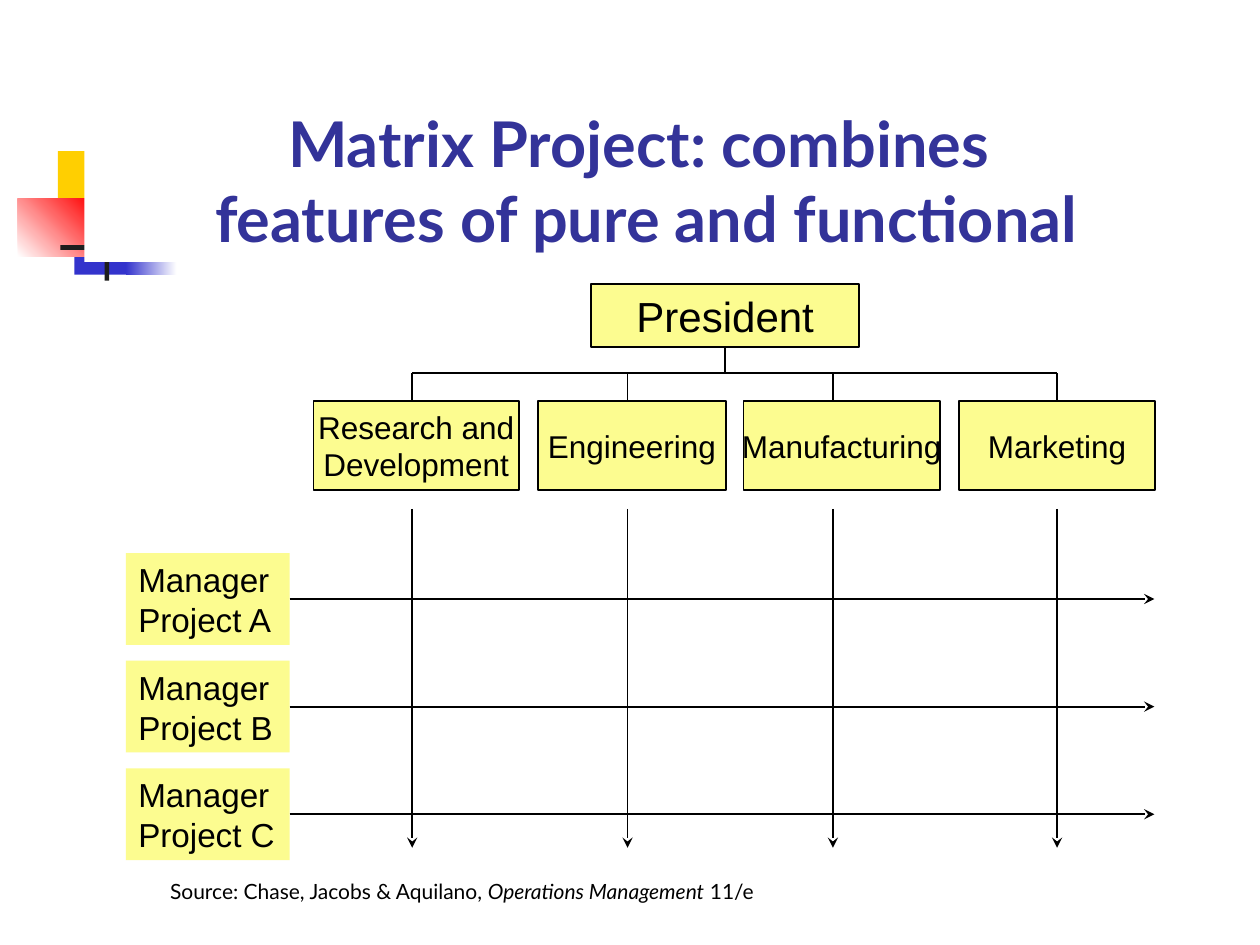
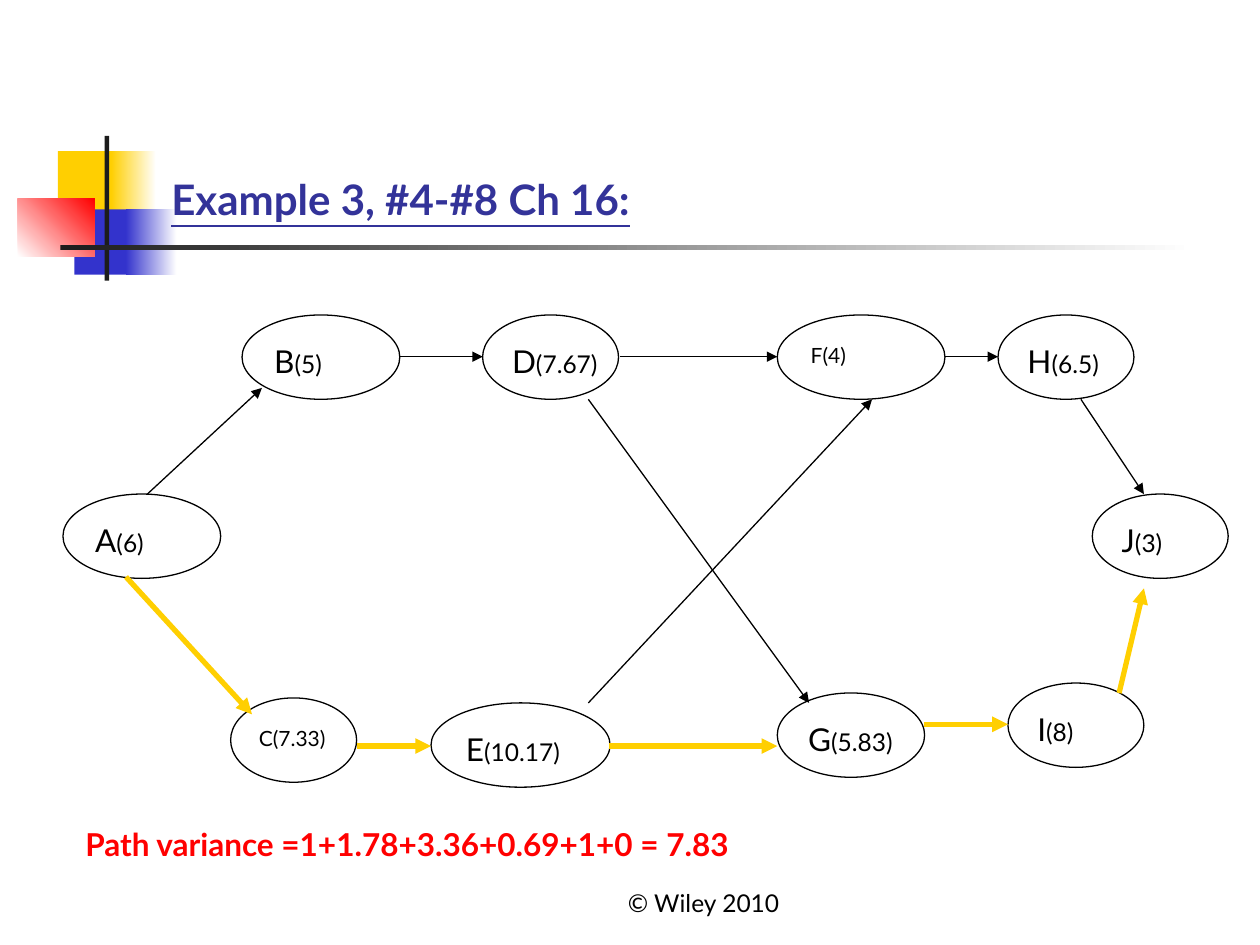
from lxml import etree
from pptx import Presentation
from pptx.dml.color import RGBColor
from pptx.enum import shapes, text
from pptx.oxml.ns import qn
from pptx.util import Cm, Pt

# Colours and fonts
BLACK = RGBColor(0, 0, 0)
WHITE = RGBColor(255, 255, 255)
INK = RGBColor(0x1C, 0x1C, 0x1C)
GOLD = RGBColor(0xFF, 0xCF, 0x01)
BLUE = RGBColor(0x33, 0x33, 0xCC)
NAVY = RGBColor(0x33, 0x33, 0x99)
RED = RGBColor(255, 0, 0)
PALE = RGBColor(0xFC, 0xFC, 0x90)
LATO, ARIAL = "Lato", "Arial"

RECT = shapes.MSO_SHAPE.RECTANGLE
OVAL = shapes.MSO_SHAPE.OVAL
LEFT, MID = text.PP_ALIGN.LEFT, text.PP_ALIGN.CENTER
TOP, CENTRE, BASE = (text.MSO_ANCHOR.TOP, text.MSO_ANCHOR.MIDDLE,
                     text.MSO_ANCHOR.BOTTOM)
FIT = text.MSO_AUTO_SIZE.SHAPE_TO_FIT_TEXT
FIXED = text.MSO_AUTO_SIZE.NONE

# Shared bands, in cm: place, fill colours, angle
BANDS = [
    ((1.17, 3.05, 1.22, 1.32), (GOLD,), 0),
    ((2.24, 3.05, 0.91, 1.32), (GOLD, WHITE), 0),
    ((1.5, 4.22, 1.17, 1.32), (BLUE,), 0),
    ((2.54, 4.22, 1.02, 1.32), (BLUE, WHITE), 0),
    ((0.36, 4.01, 1.55, 1.17), (WHITE, RED), 45),
    ((2.11, 2.74, 0.09, 2.92), (INK,), 0),
    ((1.22, 4.94, 22.86, 0.1), (INK, WHITE), 0),
]

# Slide 1: matrix chart
MATRIX = ["Matrix Project: combines ", "features of pure and functional"]
CHIEF = "President"
UNITS = [  # lines, left, width, axis of the drop and arrow
    (["Research and", "Development"], 6.32, 4.14, 8.31),
    (["Engineering"], 10.85, 3.78, 12.65),
    (["Manufacturing"], 14.99, 3.96, 16.79),
    (["Marketing"], 19.33, 3.96, 21.31),
]
PROJECTS = ["Project A", "Project B", "Project C"]
SOURCE = [("Source: Chase, Jacobs & Aquilano, ", 12, ""),
          ("Operations Management", 12, "i"), (" 11/e", 12, "")]

# Slide 2: network
EXAMPLE = ["Example 3, #4-#8 Ch 16:"]
NODES = [  # letter, time, left, top, width, sizes of letter and time
    ("A", "(6)", 1.27, 9.96, 3.18, 18, 14),
    ("B", "(5)", 4.88, 6.35, 3.18, 18, 14),
    ("D", "(7.67)", 9.73, 6.35, 2.74, 18, 14),
    ("F", "(4)", 15.67, 6.35, 3.38, 12, 12),
    ("C", "(7.33)", 4.65, 14.07, 2.54, 12, 12),
    ("E", "(10.17)", 8.69, 14.17, 3.61, 18, 14),
    ("G", "(5.83)", 15.67, 13.97, 2.97, 18, 14),
    ("H", "(6.5)", 20.12, 6.35, 2.74, 18, 14),
    ("I", "(8)", 20.32, 13.77, 2.74, 18, 14),
    ("J", "(3)", 22.02, 9.96, 2.74, 18, 14),
]
LINKS = [
    (2.97, 9.96, 5.28, 7.82), (8.05, 7.19, 9.73, 7.19),
    (12.5, 7.19, 15.67, 7.19), (19.05, 7.19, 20.12, 7.19),
    (11.86, 8.05, 16.31, 14.17), (11.86, 14.17, 17.58, 8.05),
    (21.79, 8.05, 23.06, 9.96),
]
CRITICAL = [
    (2.54, 11.63, 5.08, 14.4), (7.19, 15.04, 8.69, 15.04),
    (12.27, 15.04, 15.67, 15.04), (18.62, 14.6, 20.32, 14.6),
    (22.56, 13.97, 23.06, 11.86),
]
VARIANCE = "Path variance =1+1.78+3.36+0.69+1+0 = 7.83"
RIGHTS = "© Wiley 2010"


def cms(place):
    return [Cm(v) for v in place]


def add_run(para, words, size, style="", font=LATO, color=BLACK):
    run = para.add_run()
    run.text = words
    face = run.font
    face.name, face.size, face.color.rgb = font, Pt(size), color
    face.bold, face.italic, face.underline = (k in style for k in "biu")


def write(shape, paras, font=LATO, color=BLACK, align=LEFT, anchor=TOP,
          wrap=True, auto=FIT):
    """Fill a shape with paragraphs, each a list of (words, size, style)."""
    frame = shape.text_frame
    frame.word_wrap, frame.auto_size = wrap, auto
    frame.vertical_anchor = anchor
    for i, runs in enumerate(paras):
        para = frame.add_paragraph() if i else frame.paragraphs[0]
        para.alignment = align
        for words, size, style in runs:
            add_run(para, words, size, style, font, color)


def add_text(slide, place, paras, **look):
    write(slide.shapes.add_textbox(*cms(place)), paras, **look)


def add_form(slide, kind, place, fill=None, line=None):
    form = slide.shapes.add_shape(kind, *cms(place))
    form.shadow.inherit = False
    if fill is None:
        form.fill.background()
    else:
        form.fill.solid()
        form.fill.fore_color.rgb = fill
    if line is None:
        form.line.fill.background()
    else:
        form.line.color.rgb, form.line.width = BLACK, Pt(line)
    return form


def add_line(slide, ends, head=None, color=BLACK, width=1):
    line = slide.shapes.add_connector(shapes.MSO_CONNECTOR.STRAIGHT,
                                      *cms(ends))
    line.line.color.rgb, line.line.width = color, Pt(width)
    if head:
        etree.SubElement(line.line._get_or_add_ln(), qn("a:tailEnd"),
                         type=head)
    etree.SubElement(line._element.spPr, qn("a:effectLst"))
    return line


def add_title(slide, place, lines, size, style, align):
    title = slide.shapes.title
    title.left, title.top, title.width, title.height = cms(place)
    write(title, [[]], align=align, anchor=BASE, auto=FIXED)
    para = title.text_frame.paragraphs[0]
    for i, words in enumerate(lines):
        if i:
            para.add_line_break()
        add_run(para, words, size, style, color=NAVY)
    return title


def add_bands(slide, layout):
    """Draw the bands and hand them to the layout all slides use."""
    for i, (place, hues, angle) in enumerate(BANDS):
        band = add_form(slide, RECT, place, hues[0])
        if len(hues) > 1:
            band.fill.gradient()
            band.fill.gradient_angle = angle
            for stop, hue in zip(band.fill.gradient_stops, hues):
                stop.color.rgb = hue
        layout.shapes._spTree.insert(2 + i, band._element)


def draw_matrix(slide):
    title = add_title(slide, (1.7, 2.54, 22.66, 2.74), MATRIX, 36, "b", MID)
    title.fill.solid()
    title.fill.fore_color.rgb = WHITE
    label = dict(font=ARIAL, align=MID, anchor=CENTRE, wrap=False, auto=FIXED)

    # President and the bus below
    bus, top = 7.52, 8.08
    chief = add_form(slide, RECT, (11.92, 5.72, 5.4, 1.27), PALE, 1)
    write(chief, [[(CHIEF, 24, "")]], **label)
    stem = add_line(slide, (14.62, 6.99, 14.62, bus))
    stem.begin_connect(chief, 2)
    add_line(slide, (UNITS[0][3], bus, UNITS[-1][3], bus))

    # Departments, with a drop above and an arrow below
    for lines, left, width, axis in UNITS:
        unit = add_form(slide, RECT, (left, top, width, 1.8), PALE, 1)
        write(unit, [[(words, 18, "")] for words in lines], **label)
        drop = add_line(slide, (axis, bus, axis, top))
        if abs(left + width / 2 - axis) < 0.02:
            drop.end_connect(unit, 0)
        add_line(slide, (axis, 10.26, axis, 17.09), "stealth")

    # Project managers, wide enough for the longest label
    left, width, high = 2.54, 3.3, 1.85
    for i, name in enumerate(PROJECTS):
        y = 11.15 + 2.17 * i
        lead = add_form(slide, RECT, (left, y, width, high), PALE)
        write(lead, [[("Manager", 19, "")], [(name, 19, "")]],
              font=ARIAL, wrap=False, auto=FIXED)
        mid = y + high / 2
        arrow = add_line(slide, (left + width, mid, 23.27, mid), "stealth")
        arrow.begin_connect(lead, 3)

    add_text(slide, (3.18, 17.58, 19.69, 0.76), [SOURCE])


def draw_network(slide):
    add_title(slide, (3.2, 0.58, 21.64, 4.06), EXAMPLE, 24, "bu", LEFT)

    # Nodes, each label set in by an eighth of the width
    high = 1.7
    for name, time, x, y, width, big, small in NODES:
        add_form(slide, OVAL, (x, y, width, high), line=0.75)
        add_text(slide, (x + width / 8, y + high / 4, width * 7 / 8, 1.02),
                 [[(name, big, ""), (time, small, "")]])

    # Links and critical path
    for ends in LINKS:
        add_line(slide, ends, "triangle", width=0.75)
    for ends in CRITICAL:
        add_line(slide, ends, "triangle", GOLD, 3)

    add_text(slide, (1.47, 16.51, 17.15, 1.02), [[(VARIANCE, 18, "b")]],
             color=RED)
    add_text(slide, (10.16, 17.35, 8.05, 1.27), [[(RIGHTS, 14, "")]],
             align=MID, anchor=BASE, auto=FIXED)


def main():
    deck = Presentation()
    deck.slide_width, deck.slide_height = Cm(25.4), Cm(19.05)
    layout = deck.slide_layouts[5]
    first, second = [deck.slides.add_slide(layout) for _ in range(2)]
    add_bands(first, layout)
    draw_matrix(first)
    draw_network(second)
    deck.save("out.pptx")


if __name__ == "__main__":
    main()
